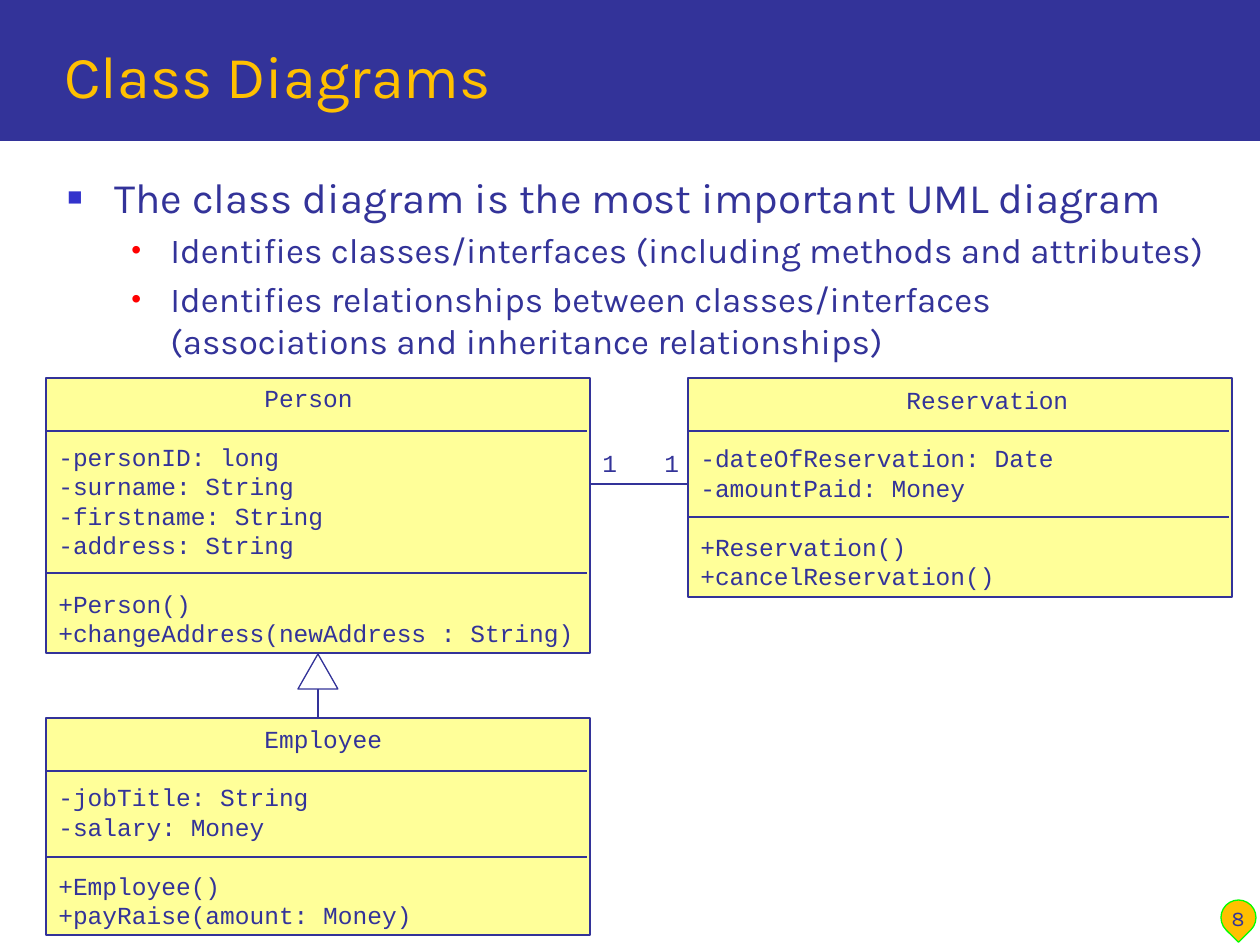
from lxml.etree import SubElement
from pptx import Presentation
from pptx.dml.color import RGBColor
from pptx.enum.shapes import MSO_CONNECTOR as Connector, MSO_SHAPE as Shape
from pptx.enum.text import MSO_ANCHOR as Anchor, PP_ALIGN as Align
from pptx.oxml.ns import qn
from pptx.util import Emu, Pt

COLORS = {
    "ink": "333399",
    "gold": "FFC000",
    "class": "FFFF99",
    "white": "FFFFFF",
    "badge_line": "00FF00",
    "square": "3333CC",
    "dot": "FF0000",
}
SANS, MONO = "Karla", "Courier New"
SQUARE = ("■", "square", 60)
DOT = ("•", "dot", 80)
NAME_HEIGHT = 53
LINE_HEIGHT = 28
SECTION_GAP = 16.8


def px(length):
    return Emu(round(length * 914400 / 126))


def color(name):
    return RGBColor.from_string(COLORS[name])


def add_filled(slide, kind, box, fill, line=None):
    shape = slide.shapes.add_shape(kind, *map(px, box))
    shape.shadow.inherit = False
    shape.fill.solid()
    shape.fill.fore_color.rgb = color(fill)
    if line:
        shape.line.color.rgb = color(line)
        shape.line.width = Pt(0.75)
    else:
        shape.line.fill.background()
    return shape


def add_line(slide, x1, y1, x2, y2):
    line = slide.shapes.add_connector(Connector.STRAIGHT, *map(px, (x1, y1, x2, y2)))
    line.line.color.rgb = color("ink")
    line.line.width = Pt(0.75)
    SubElement(line._element.spPr, qn("a:effectLst"))
    return line


def add_text_frame(slide, box, anchor=Anchor.TOP, wrap=True):
    frame = slide.shapes.add_textbox(*map(px, box)).text_frame
    frame.word_wrap = wrap
    frame.vertical_anchor = anchor
    return frame


def write(frame, text, size=14, font=MONO, ink="ink", align=Align.LEFT,
          before=0, margin=0, hanging=0, bullet=None):
    """Add one paragraph, using the empty first one when it is still free."""
    first = frame.paragraphs[0]
    paragraph = frame.add_paragraph() if first.runs else first
    paragraph.add_run().text = text
    properties = paragraph._p.get_or_add_pPr()
    properties.set("marL", str(px(margin)))
    properties.set("indent", str(-px(hanging)))
    if bullet:
        mark, mark_color, percent = bullet
        bullet_color = SubElement(properties, qn("a:buClr"))
        SubElement(bullet_color, qn("a:srgbClr"), val=COLORS[mark_color])
        SubElement(properties, qn("a:buSzPct"), val=str(percent * 1000))
        SubElement(properties, qn("a:buFont"), typeface="Arial")
        SubElement(properties, qn("a:buChar"), char=mark)
    paragraph.alignment = align
    paragraph.space_before = Pt(before)
    paragraph.font.size = Pt(size)
    paragraph.font.name = font
    paragraph.font.color.rgb = color(ink)


def add_header(slide, box, title):
    left, top, width, height = box
    add_filled(slide, Shape.RECTANGLE, box, "ink")
    frame = add_text_frame(slide, (left + 52, top + 21, width - 82, height - 45), Anchor.BOTTOM)
    write(frame, title, size=34, font=SANS, ink="gold")


def add_points(slide, box, heading, points):
    frame = add_text_frame(slide, box)
    write(frame, heading, size=24, font=SANS, margin=47, hanging=47, bullet=SQUARE)
    for point in points:
        write(frame, point, size=20, font=SANS, before=4, margin=103, hanging=39, bullet=DOT)


def add_class(slide, box, name, attributes, methods):
    """Draw a UML class with its name, attributes and methods sections."""
    left, top, width, height = box
    body = add_filled(slide, Shape.RECTANGLE, box, "class", "ink")
    frame = body.text_frame
    frame.word_wrap = True
    frame.vertical_anchor = Anchor.MIDDLE
    write(frame, name, margin=206)
    for section in (attributes, methods):
        for index, member in enumerate(section):
            write(frame, member, before=0 if index else SECTION_GAP)
    attributes_height = LINE_HEIGHT * len(attributes) + 30
    for offset in (NAME_HEIGHT, NAME_HEIGHT + attributes_height):
        add_line(slide, left, top + offset, left + width - 3, top + offset)
    return body


def add_association(slide, box, near, far):
    """Draw a line along the bottom of the box, with a multiplicity at each end."""
    left, top, width, height = box
    add_line(slide, left, top + height, left + width, top + height)
    for x, multiplicity in ((left, near), (left + width - 36, far)):
        frame = add_text_frame(slide, (x, top, 40, height), wrap=False)
        write(frame, multiplicity)


def add_inheritance(slide, box, child):
    """Draw a hollow triangle at the top of the box and join it to the child."""
    left, top, width, height = box
    tip_height = 35
    center = left + width / 2
    add_filled(slide, Shape.ISOSCELES_TRIANGLE, (left, top, width, tip_height), "white", "ink")
    stem = add_line(slide, center, top + tip_height, center, top + height)
    stem.end_connect(child, 0)


def add_page_number(slide, box, number):
    left, top, width, height = box
    badge = add_filled(slide, Shape.TEAR, (left + 19, top + 26, 35, 35), "gold", "badge_line")
    badge.rotation = 135
    write(add_text_frame(slide, box, Anchor.BOTTOM), number,
          size=12, font=SANS, align=Align.CENTER)


def main():
    deck = Presentation()
    deck.slide_width, deck.slide_height = px(1260), px(945)
    slide = deck.slides.add_slide(deck.slide_layouts[6])

    add_header(slide, (0, 0, 1260, 141), "Class Diagrams")
    add_page_number(slide, (1202, 874, 72, 63), "8")
    add_points(slide, (55, 165, 1169, 680),
               "The class diagram is the most important UML diagram",
               ["Identifies classes/interfaces (including methods and attributes)",
                "Identifies relationships between classes/interfaces "
                "(associations and inheritance relationships)"])

    add_class(slide, (46, 378, 544, 275), "Person",
              ["-personID: long", "-surname: String",
               "-firstname: String", "-address: String"],
              ["+Person()", "+changeAddress(newAddress : String)"])
    add_class(slide, (688, 378, 544, 219), "Reservation",
              ["-dateOfReservation: Date", "-amountPaid: Money"],
              ["+Reservation()", "+cancelReservation()"])
    employee = add_class(slide, (46, 718, 544, 217), "Employee",
                         ["-jobTitle: String", "-salary: Money"],
                         ["+Employee()", "+payRaise(amount: Money)"])

    add_association(slide, (590, 442, 98, 42), "1", "1")
    add_inheritance(slide, (298, 654, 40, 64), employee)
    deck.save("out.pptx")


if __name__ == "__main__":
    main()
